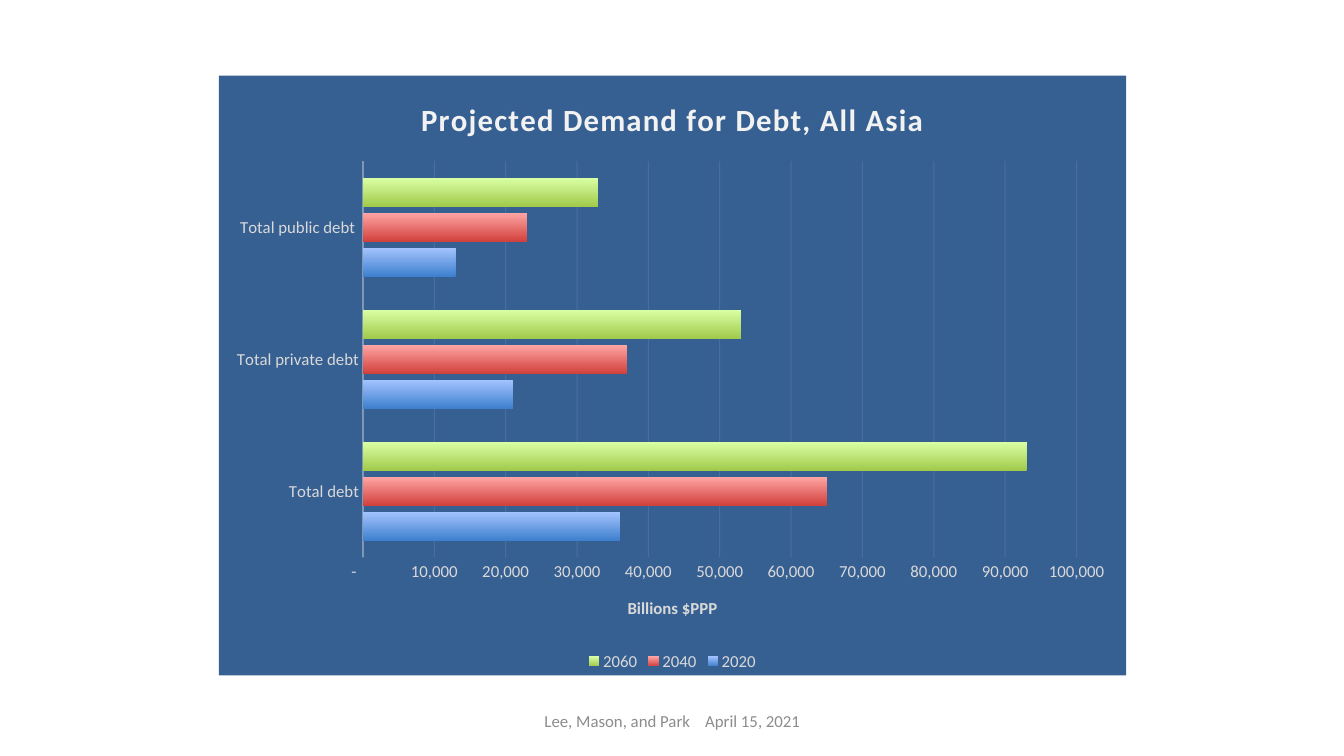
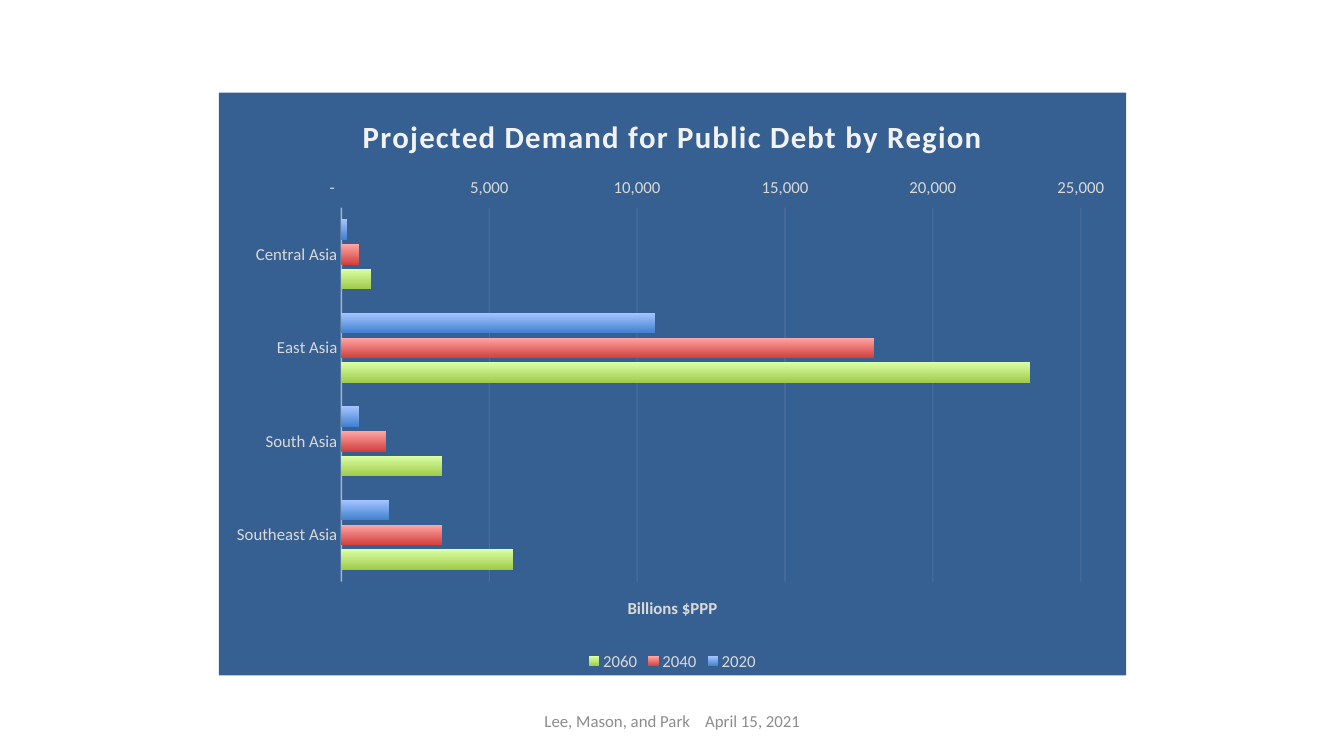
"""Build two slides of projected debt demand charts."""
from dataclasses import dataclass

import pptx
import pptx.chart.data
import pptx.dml.color
import pptx.enum.chart
import pptx.enum.text
import pptx.oxml
import pptx.util
from pptx.util import Inches

FONT = "Calibri"
COLORS = {
    "panel": "376092",
    "title": "F2F2F2",
    "label": "D9D9D9",
    "footer": "8C8C8C",
}
BARS = {
    "2020": ("3F80CE", "A4C4FF"),
    "2040": ("D1403C", "FFA6A5"),
    "2060": ("A0CA4A", "DAFFA5"),
}
FORMAT = '_(* #,##0_);_(* \\(#,##0\\);_(* "-"??_);_(@_)'
LEFT, WIDTH, BOTTOM = 2.17, 9, 6.7
NS = ('xmlns:c="http://schemas.openxmlformats.org/drawingml/2006/chart" '
      'xmlns:a="http://schemas.openxmlformats.org/drawingml/2006/main"')


@dataclass
class Panel:
    title: str
    top: float
    groups: list[str]
    values: list[list[int]]
    flip: bool = False


PANELS = [
    Panel(
        "Projected Demand for Debt, All Asia", 0.75,
        ["Total debt", "Total private debt", "Total public debt "],
        [[36000, 21000, 13000], [65000, 37000, 23000], [93000, 53000, 33000]],
    ),
    Panel(
        "Projected Demand for Public Debt by Region", 0.92,
        ["Central Asia", "East Asia", "South Asia", "Southeast Asia"],
        [[200, 10600, 600, 1600], [600, 18000, 1500, 3400],
         [1000, 23300, 3400, 5800]],
        flip=True,
    ),
]


def color(code: str) -> pptx.dml.color.RGBColor:
    return pptx.dml.color.RGBColor.from_string(code)


def style(font, size: float, name: str, bold: bool = False) -> None:
    font.name = FONT
    font.size = pptx.util.Pt(size)
    font.bold = bold
    font.color.rgb = color(COLORS[name])


def write(frame, text: str, size: float, name: str, bold: bool = False) -> None:
    frame.text = text
    style(frame.paragraphs[0].runs[0].font, size, name, bold)


def rule(line, width: float) -> None:
    line.color.rgb = color(COLORS["title"])
    line.width = pptx.util.Pt(width)


def fade(chart, query: str, percent: int) -> None:
    for node in chart.element.xpath(query):
        node.append(pptx.oxml.parse_xml(
            f'<a:alpha {NS} val="{percent * 1000}"/>'))


def paint(chart) -> None:
    area = pptx.oxml.parse_xml(
        f'<c:spPr {NS}><a:solidFill><a:srgbClr val="{COLORS["panel"]}"/>'
        '</a:solidFill><a:ln><a:noFill/></a:ln></c:spPr>')
    chart.element.xpath("c:chart")[0].addnext(area)


def set_axes(chart, flip: bool) -> None:
    group, value = chart.category_axis, chart.value_axis
    for axis in (group, value):
        axis.major_tick_mark = pptx.enum.chart.XL_TICK_MARK.NONE
        axis.minor_tick_mark = pptx.enum.chart.XL_TICK_MARK.NONE
        style(axis.tick_labels.font, 12, "label")
    group.reverse_order = flip
    rule(group.format.line, 1)
    fade(chart, ".//c:catAx/c:spPr//a:srgbClr", 54)

    value.has_major_gridlines = True
    rule(value.major_gridlines.format.line, 0.75)
    fade(chart, ".//c:majorGridlines//a:srgbClr", 10)
    value.format.line.fill.background()
    value.tick_labels.number_format = FORMAT
    value.tick_labels.number_format_is_linked = False
    if flip:
        value.tick_label_position = pptx.enum.chart.XL_TICK_LABEL_POSITION.LOW
    write(value.axis_title.text_frame, "Billions $PPP", 12, "label", True)


def add_panel(slide, panel: Panel) -> None:
    data = pptx.chart.data.CategoryChartData(number_format="#,##0")
    data.categories = panel.groups
    for year, row in zip(BARS, panel.values):
        data.add_series(year, row)
    chart = slide.shapes.add_chart(
        pptx.enum.chart.XL_CHART_TYPE.BAR_CLUSTERED, Inches(LEFT),
        Inches(panel.top), Inches(WIDTH), Inches(BOTTOM - panel.top), data).chart
    chart.font.name = FONT
    chart.font.size = pptx.util.Pt(10)
    paint(chart)

    chart.has_title = True
    write(chart.chart_title.text_frame, panel.title, 22, "title", True)
    for node in chart.element.xpath("c:chart/c:title//a:r/a:rPr"):
        node.set("spc", "100")
    chart.has_legend = True
    chart.legend.position = pptx.enum.chart.XL_LEGEND_POSITION.BOTTOM
    chart.legend.include_in_layout = False
    style(chart.legend.font, 12, "label")
    set_axes(chart, panel.flip)

    plot = chart.plots[0]
    plot.vary_by_categories = False
    plot.gap_width, plot.overlap = 115, -20
    for bar, shades in zip(plot.series, BARS.values()):
        fill = bar.format.fill
        fill.gradient()
        fill.gradient_angle = 90
        for stop, shade in zip(fill.gradient_stops, shades):
            stop.color.rgb = color(shade)


def add_footer(slide) -> None:
    box = slide.shapes.add_textbox(
        Inches(4.56), Inches(6.95), Inches(4.22), Inches(0.4))
    frame = box.text_frame
    frame.word_wrap = True
    frame.vertical_anchor = pptx.enum.text.MSO_ANCHOR.MIDDLE
    write(frame, "Lee, Mason, and Park    April 15, 2021", 12, "footer")
    frame.paragraphs[0].alignment = pptx.enum.text.PP_ALIGN.CENTER


def main() -> None:
    deck = pptx.Presentation()
    deck.slide_width, deck.slide_height = Inches(13.33), Inches(7.5)
    for panel in PANELS:
        slide = deck.slides.add_slide(deck.slide_layouts[6])
        add_footer(slide)
        add_panel(slide, panel)
    deck.save("out.pptx")


if __name__ == "__main__":
    main()
